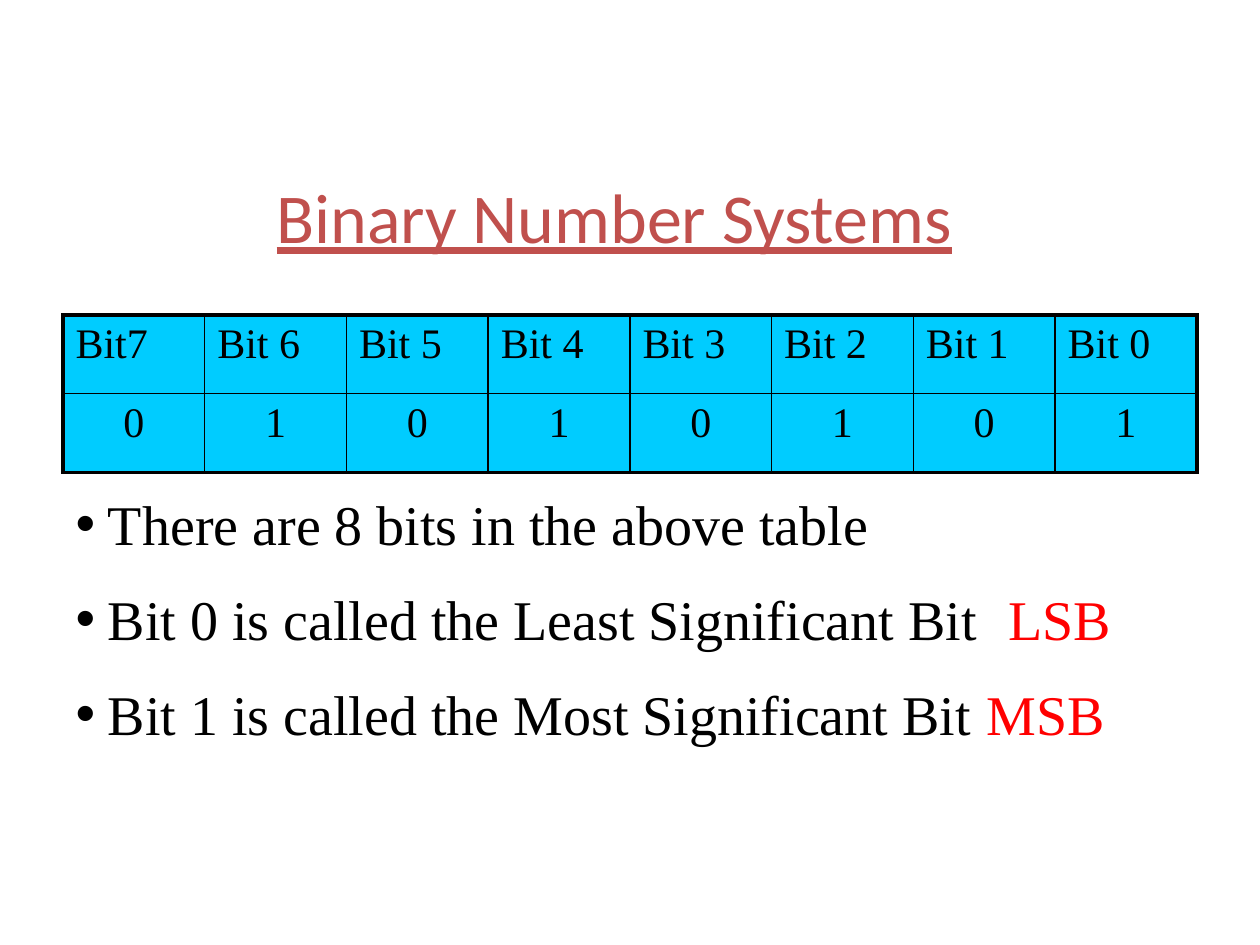
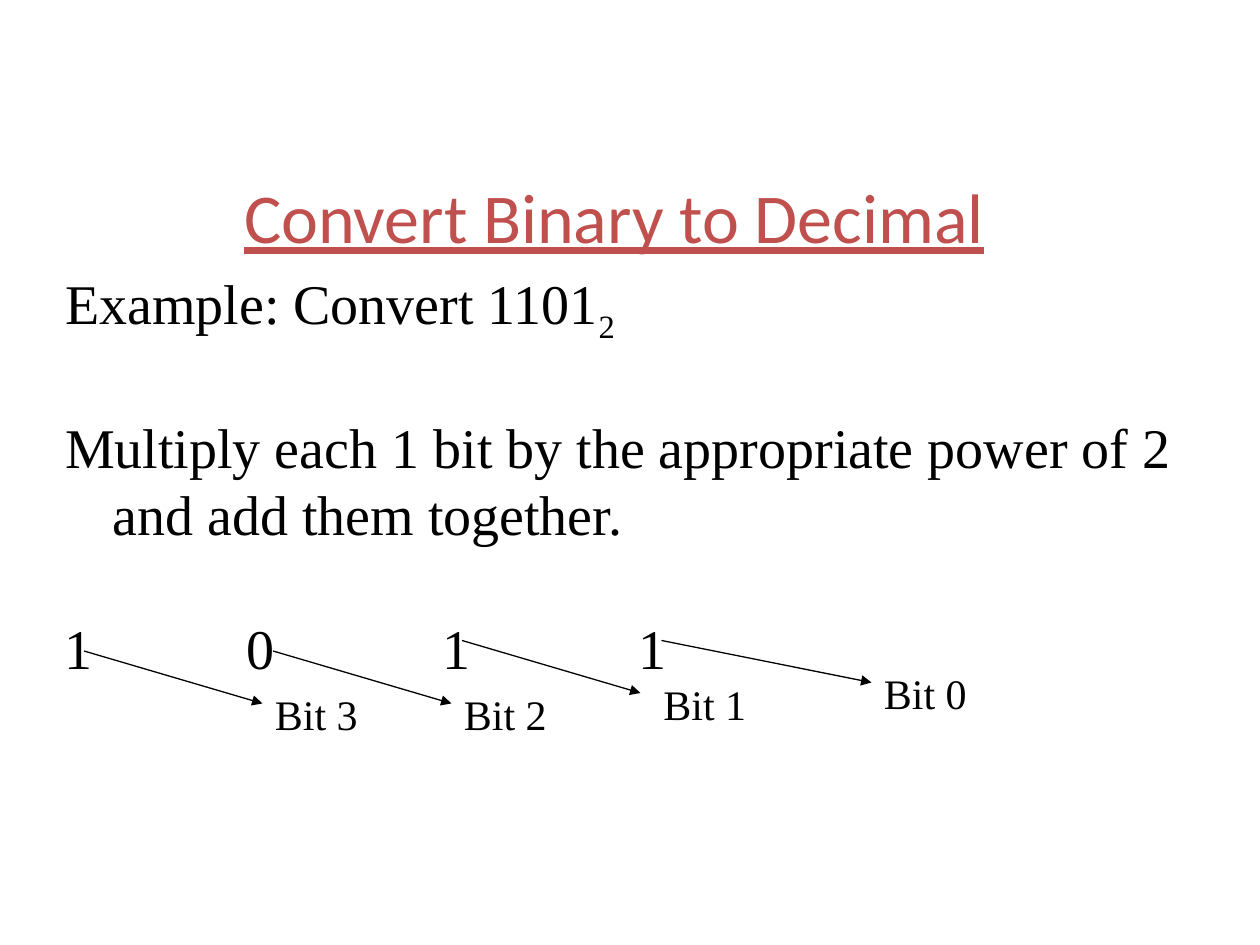
import pptx
import pptx.util
import pptx.dml.color
import pptx.enum.shapes
import pptx.enum.text
import pptx.oxml.ns
import lxml.etree

Pt = pptx.util.Pt
ALIGN = pptx.enum.text.PP_ALIGN


class Theme:
    heading_font = "Calibri"
    text_font = "Times New Roman"
    heading = "C0504D"
    ink = "000000"
    accent = "FF0000"
    cell = "00CCFF"
    heading_size = 40
    body_size = 32
    label_size = 24
    outer_border = 2.25
    inner_border = 1
    arrow_width = 0.75


def add_run(paragraph, text, size, color=Theme.ink, font=Theme.text_font):
    run = paragraph.add_run()
    run.text = text
    run.font.size = Pt(size)
    run.font.name = font
    run.font.color.rgb = pptx.dml.color.RGBColor.from_string(color)
    return run


def add_xml(parent, tag, **attributes):
    child = lxml.etree.SubElement(parent, pptx.oxml.ns.qn(tag))
    for key, value in attributes.items():
        child.set(key, str(value))
    return child


deck = pptx.Presentation()
deck.slide_width, deck.slide_height = Pt(720), Pt(540)

bodies = []
for heading, area in [
    ("Binary Number Systems", (36, 276, 642, 160)),
    ("Convert Binary to Decimal", (30, 150, 690, 190)),
]:
    slide = deck.slides.add_slide(deck.slide_layouts[1])
    title, body = slide.placeholders[0], slide.placeholders[1]
    title.left, title.top, title.width, title.height = Pt(72), Pt(84), Pt(558), Pt(78)
    title.text_frame.vertical_anchor = pptx.enum.text.MSO_ANCHOR.MIDDLE
    title_line = title.text_frame.paragraphs[0]
    title_line.alignment = ALIGN.CENTER
    add_run(title_line, heading, Theme.heading_size, Theme.heading,
            Theme.heading_font).font.underline = True
    body.left, body.top, body.width, body.height = map(Pt, area)
    body.text_frame.auto_size = pptx.enum.text.MSO_AUTO_SIZE.NONE
    bodies.append(body.text_frame)

bits_slide, convert_slide = deck.slides
facts, steps = bodies

bit_rows = [
    ["Bit7"] + [f"Bit {bit}" for bit in range(6, -1, -1)],
    list("01010101"),
]
bit_table = bits_slide.shapes.add_table(2, 8, Pt(36), Pt(180), Pt(648), Pt(90)).table
bit_table.first_row = bit_table.horz_banding = False
for row, texts in enumerate(bit_rows):
    for column, text in enumerate(texts):
        cell = bit_table.cell(row, column)
        line = cell.text_frame.paragraphs[0]
        line.alignment = ALIGN.CENTER if row else ALIGN.LEFT
        add_run(line, text, Theme.label_size)
        cell_properties = cell._tc.get_or_add_tcPr()
        for side, is_outer in [("L", column == 0), ("R", column == 7),
                               ("T", row == 0), ("B", row == 1)]:
            width = Theme.outer_border if is_outer else Theme.inner_border
            border = add_xml(cell_properties, f"a:ln{side}", w=int(Pt(width)))
            add_xml(add_xml(border, "a:solidFill"), "a:srgbClr", val=Theme.ink)
        cell.fill.solid()
        cell.fill.fore_color.rgb = pptx.dml.color.RGBColor.from_string(Theme.cell)

for index, (fact, short_name) in enumerate([
    ("There are 8 bits in the above table", ""),
    ("Bit 0 is called the Least Significant Bit\t", "LSB"),
    ("Bit 1 is called the Most Significant Bit ", "MSB"),
]):
    line = facts.add_paragraph() if index else facts.paragraphs[0]
    line.space_before = Pt(16 if index else 0)
    properties = line._p.get_or_add_pPr()
    properties.set("marL", str(Pt(18.5)))
    properties.set("indent", str(Pt(-18.5)))
    add_xml(properties, "a:buChar", char="•")
    if "\t" in fact:
        add_xml(add_xml(properties, "a:tabLst"), "a:tab", pos=int(Pt(533)), algn="l")
    add_run(line, fact, Theme.body_size)
    if short_name:
        add_run(line, short_name, Theme.body_size, Theme.accent)

for index, step in enumerate([
    "Example: Convert 1101",
    "Multiply each 1 bit by the appropriate power of 2 and add them together.",
]):
    line = steps.add_paragraph() if index else steps.paragraphs[0]
    line.space_before = Pt(38.3 if index else 0)
    properties = line._p.get_or_add_pPr()
    properties.set("marL", str(Pt(27)))
    properties.set("indent", str(Pt(-27)))
    add_xml(properties, "a:buNone")
    add_run(line, step, Theme.body_size)
base = add_run(steps.paragraphs[0], "2", Theme.body_size)
base.font._element.set("baseline", "-25000")

for digit, digit_left, bit, start, end, label_at in [
    ("1", 30, 3, (48, 372), (150, 402), (150, 390)),
    ("0", 134, 2, (156, 372), (258, 402), (258, 390)),
    ("1", 246, 1, (264, 366), (366, 396), (372, 384)),
    ("1", 358, 0, (378, 366), (498, 390), (498, 378)),
]:
    arrow = convert_slide.shapes.add_connector(
        pptx.enum.shapes.MSO_CONNECTOR.STRAIGHT, *map(Pt, start + end))
    arrow.line.width = Pt(Theme.arrow_width)
    arrow.line.color.rgb = pptx.dml.color.RGBColor.from_string(Theme.ink)
    add_xml(arrow.line._get_or_add_ln(), "a:tailEnd", type="triangle")
    add_xml(arrow._element.spPr, "a:effectLst")
    for text, size, area in [
        (digit, Theme.body_size, (digit_left, 347, 36, 46)),
        (f"Bit {bit}", Theme.label_size, label_at + (96, 36)),
    ]:
        caption = convert_slide.shapes.add_textbox(*map(Pt, area)).text_frame
        caption.word_wrap = True
        add_run(caption.paragraphs[0], text, size)

deck.save("out.pptx")
